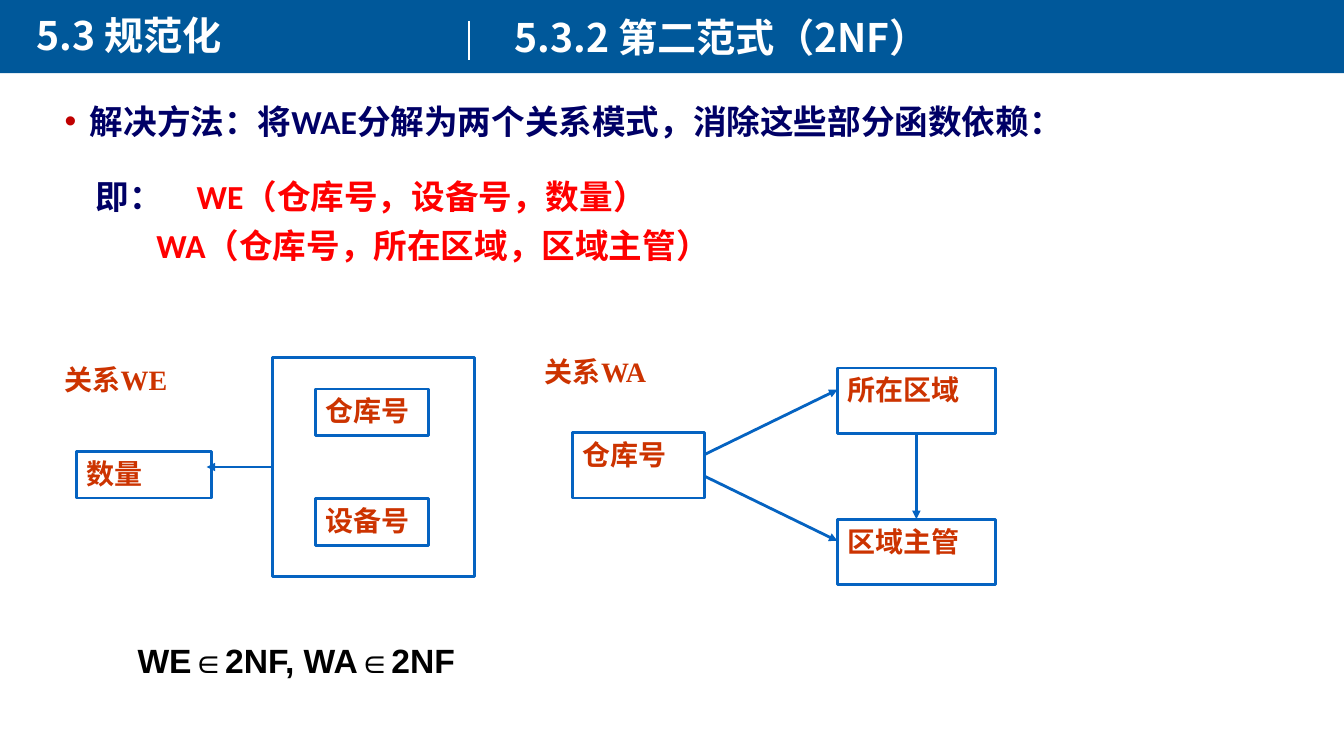
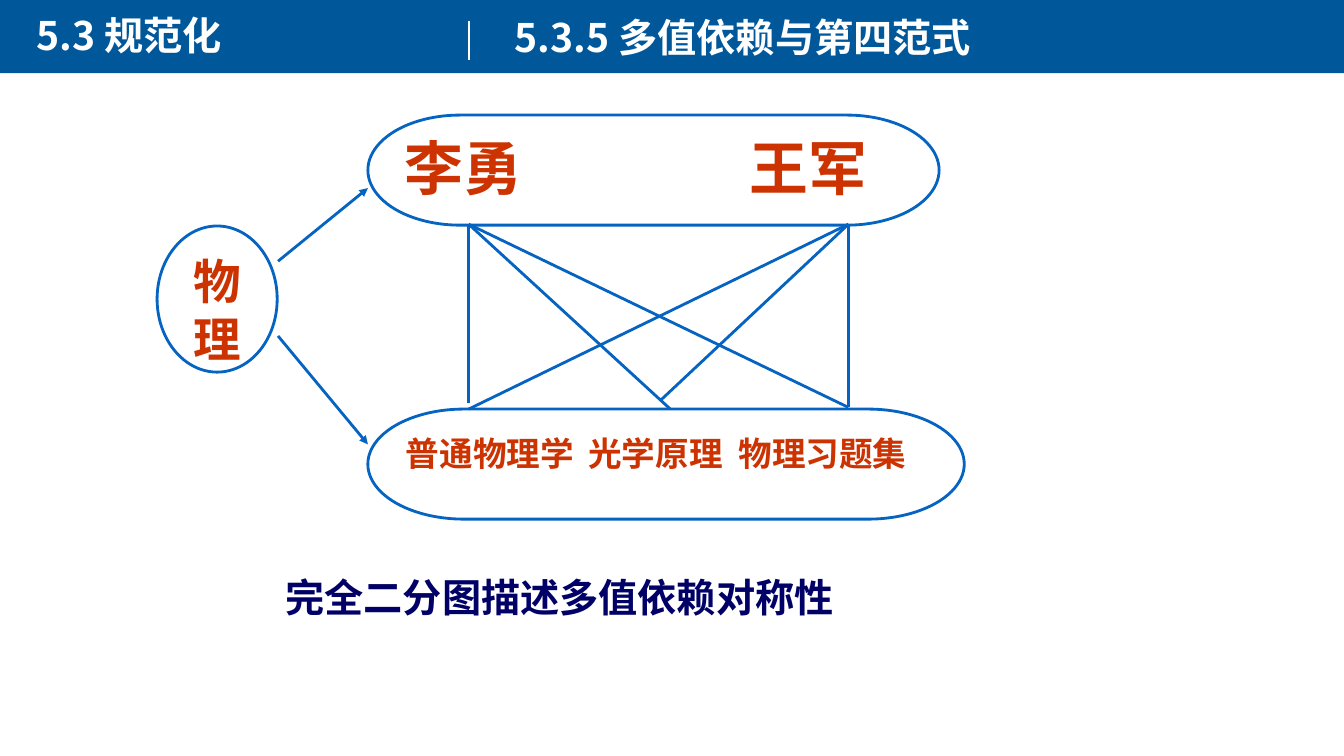
from lxml import etree
from pptx import Presentation, util as u
from pptx.dml.color import RGBColor
from pptx.enum import shapes, text
from pptx.oxml.ns import qn

COLORS = {
    "band": "00589A", "white": "FFFFFF", "line": "0563C1", "label": "CC3300",
    "navy": "000066", "red": "FF0000", "bullet": "C00000", "black": "000000",
}
COLUMNS, ROWS = 160, 90
CELL = u.Inches(7.5) / ROWS
HEADING = ("Noto Sans CJK SC", 28, "white")
LABEL = ("Times New Roman", 20, "label")
BODY = ("Calibri", 24, "navy")
STATEMENT = ("Arial", 24, "black")
CAPTION = ("Karla", 28, "navy")
RECTANGLE = shapes.MSO_SHAPE.RECTANGLE
TERMINATOR = shapes.MSO_SHAPE.FLOWCHART_TERMINATOR
TOP, LEFT, BOTTOM = 0, 1, 2


def cells(*counts):
    return [u.Emu(round(count * CELL)) for count in counts]


def rgb(name):
    return RGBColor.from_string(COLORS[name])


def add_span(para, words, style, color=None):
    family, size, default = style
    span = para.add_run()
    span.text = words
    span.font.name = family
    span.font.size = u.Pt(size)
    span.font.bold = True
    span.font.color.rgb = rgb(color or default)


def set_indent(para, margin, hanging=0, bullet=None):
    props = para._p.get_or_add_pPr()
    props.set("marL", str(u.Inches(margin)))
    props.set("indent", str(u.Inches(hanging)))
    if bullet is None:
        etree.SubElement(props, qn("a:buNone"))
        return
    color = etree.SubElement(props, qn("a:buClr"))
    etree.SubElement(color, qn("a:srgbClr"), val=COLORS["bullet"])
    etree.SubElement(props, qn("a:buFont"), typeface="Arial")
    etree.SubElement(props, qn("a:buChar"), char=bullet)


def set_tabs(para, stops):
    tabs = etree.SubElement(para._p.get_or_add_pPr(), qn("a:tabLst"))
    for stop in stops:
        etree.SubElement(tabs, qn("a:tab"), pos=str(u.Inches(stop)), algn="l")


def write(box, lines, style, align=text.PP_ALIGN.LEFT, tabs=(), wrap=True):
    frame = box.text_frame
    frame.word_wrap = wrap
    frame.auto_size = text.MSO_AUTO_SIZE.NONE
    frame.vertical_anchor = text.MSO_ANCHOR.TOP
    for index, words in enumerate(lines):
        para = frame.add_paragraph() if index else frame.paragraphs[0]
        if tabs:
            set_tabs(para, tabs)
        para.alignment = align
        add_span(para, words, style)


def place(box, left, top, width, height):
    box.left, box.top, box.width, box.height = cells(left, top, width, height)
    return box


def add_text(page, area, words, style, wrap=True):
    box = page.shapes.add_textbox(*cells(*area))
    write(box, [words], style, wrap=wrap)


def add_node(page, area, lines=(), style=LABEL, preset=RECTANGLE, inset=0.05, **layout):
    node = page.shapes.add_shape(preset, *cells(*area))
    node.shadow.inherit = False
    node.fill.background()
    node.line.color.rgb = rgb("line")
    node.line.width = u.Pt(2)
    node.text_frame.margin_top = u.Inches(inset)
    write(node, lines, style, **layout)
    return node


def add_line(page, start, end, color="line", width=2, arrow=False):
    line = page.shapes.add_connector(
        shapes.MSO_CONNECTOR.STRAIGHT, *cells(*start, *end))
    line.line.color.rgb = rgb(color)
    line.line.width = u.Pt(width)
    props = line.element.spPr
    if arrow:
        etree.SubElement(props.find(qn("a:ln")), qn("a:tailEnd"), type="triangle")
    etree.SubElement(props, qn("a:effectLst"))
    return line


def add_page(deck, layout, topic):
    page = deck.slides.add_slide(deck.slide_layouts.get_by_name(layout))
    title = place(page.shapes.title, 60.1, 1, 98, 6.8)
    write(title, [topic], HEADING)
    band = page.shapes.add_shape(RECTANGLE, *cells(0, 0, COLUMNS, 8.7))
    band.shadow.inherit = False
    band.fill.solid()
    band.fill.fore_color.rgb = rgb("band")
    band.line.fill.background()
    title.element.addprevious(band.element)
    add_text(page, (3.2, 0.8, 50, 6.8), "5.3 规范化", HEADING)
    add_line(page, (55.8, 2.5), (55.8, 7.1), "white", 1.5)
    return page


def add_solution(page):
    box = place(page.placeholders[1], 6.5, 11.9, 132.7, 29)
    frame = box.text_frame
    frame.auto_size = text.MSO_AUTO_SIZE.NONE
    method = frame.paragraphs[0]
    set_indent(method, 0.25, -0.25, "•")
    first, second = frame.add_paragraph(), frame.add_paragraph()
    set_indent(first, 0.31)
    set_tabs(first, [1.13])
    set_indent(second, 0.91)
    for para, spacing, before in ((method, 0.9, 0), (first, 1.5, 10), (second, 0.9, 10)):
        para.line_spacing = spacing
        para.space_before = u.Pt(before)
    add_span(method, "解决方法：将WAE分解为两个关系模式，消除这些部分函数依赖：", BODY)
    add_span(first, "即：\t", BODY)
    add_span(first, "WE（仓库号，设备号，数量）", BODY, "red")
    add_span(second, "WA（仓库号，所在区域，区域主管）", BODY, "red")


def add_relation_we(page):
    add_text(page, (6.5, 42.6, 20.2, 5.5), "关系WE", LABEL)
    key = add_node(page, (32.4, 42.6, 24.1, 26))
    for words, top in (("仓库号", 46.3), ("设备号", 59.3)):
        add_node(page, (37.6, top, 13.4, 5.6), [words])
    add_node(page, (9.1, 53.8, 16.1, 5.5), ["数量"])
    arrow = add_line(page, (32.4, 55.6), (24.6, 55.6), arrow=True)
    arrow.begin_connect(key, LEFT)


def add_relation_wa(page):
    add_text(page, (63.7, 41.6, 26.2, 7.8), "关系WA", LABEL)
    source, target, width, height = 68.2, 99.7, 15.7, 7.8
    third = height / 3
    add_node(page, (source, 51.5, width, height), ["仓库号"])
    nodes = []
    for index, (words, top) in enumerate((("所在区域", 43.8), ("区域主管", 61.8)), 1):
        nodes.append(add_node(page, (target, top, 18.8, height), [words]))
        add_line(page, (source + width, 51.5 + index * third),
                 (target, top + third), arrow=True)
    area, manager = nodes
    arrow = add_line(page, (109.1, 51.6), (109.1, 61.8), arrow=True)
    arrow.begin_connect(area, BOTTOM)
    arrow.end_connect(manager, TOP)


def add_bipartite_graph(page):
    add_node(page, (18.7, 26.9, 14.3, 17.4), ["物", "理"], ("Times New Roman", 34, "label"),
             shapes.MSO_SHAPE.OVAL, align=text.PP_ALIGN.CENTER)
    add_node(page, (43.8, 48.7, 71, 13.1), ["普通物理学\t光学原理\t物理习题集"],
             ("Times New Roman", 24, "label"), TERMINATOR, 0.08, tabs=[1.81, 3.3])
    add_node(page, (43.8, 13.7, 68, 13.1), ["李勇\t王军"],
             ("Times New Roman", 42, "label"), TERMINATOR, 0, tabs=[3.42])
    for start, end in (((33.1, 31.1), (43.8, 22.4)), ((33.1, 40), (43.8, 52.9))):
        add_line(page, start, end, arrow=True)
    edges = {
        55.8: ((55.8, 48), (79.8, 48.7), (101, 48.5)),
        101: ((55.8, 48.7), (78.7, 47.6), (101, 48.5)),
    }
    for teacher, books in edges.items():
        for book in books:
            add_line(page, (teacher, 26.7), book)


def main():
    deck = Presentation()
    deck.slide_width, deck.slide_height = cells(COLUMNS, ROWS)

    page = add_page(deck, "Title and Content", "5.3.2 第二范式（2NF）")
    add_solution(page)
    add_relation_we(page)
    add_relation_wa(page)
    add_text(page, (15.2, 75.6, 40.6, 6.1), "WE∈2NF, WA∈2NF", STATEMENT, wrap=False)

    page = add_page(deck, "Title Only", "5.3.5 多值依赖与第四范式")
    add_bipartite_graph(page)
    add_text(page, (32.8, 67.7, 68, 6.8), "完全二分图描述多值依赖对称性", CAPTION, wrap=False)

    deck.save("out.pptx")


if __name__ == "__main__":
    main()
